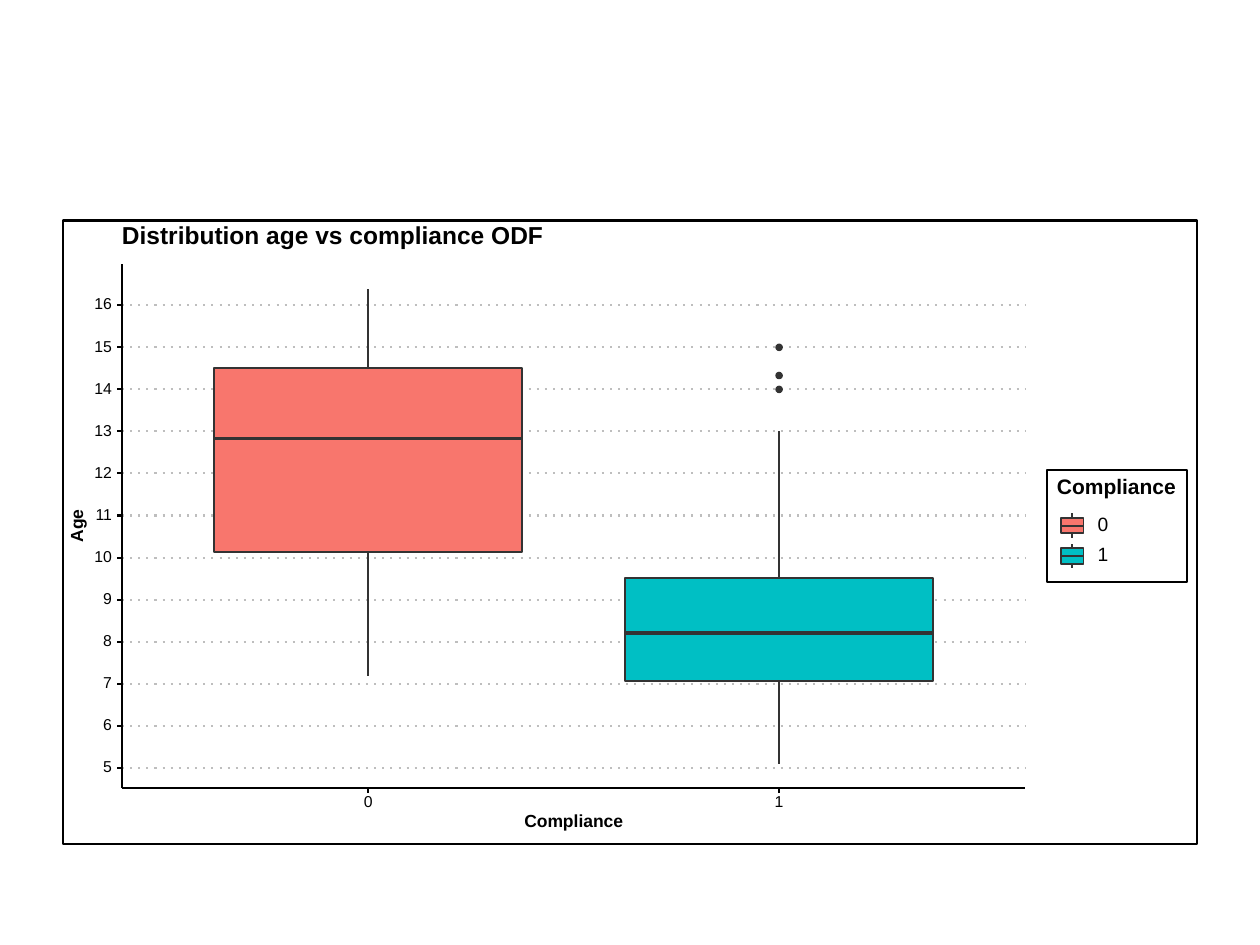
"""Build the slide with a box plot of age by compliance."""
from collections import namedtuple
from dataclasses import dataclass

from lxml import etree
from pptx import Presentation, util as u
from pptx.dml import color
from pptx.enum import dml, shapes, text
from pptx.oxml import ns


@dataclass(frozen=True)
class Theme:
    """Keep the font, colours, type sizes and line widths."""
    font: str = "Arial"
    ink: str = "000000"
    paper: str = "FFFFFF"
    grid: str = "BEBEBE"
    stroke: str = "333333"
    fills: tuple = ("F8766D", "00BFC4")
    tick: int = 9
    axis: int = 10
    key: int = 11
    legend: int = 12
    title: int = 14
    frame: float = 1.16
    thin: float = 1.07
    median: float = 2.13
    dot: float = 0.71


THEME = Theme()
Group = namedtuple("Group", "name low q1 median q3 high outliers")
GROUPS = (
    Group("0", 7.17, 10.13, 12.83, 14.5, 16.4, ()),
    Group("1", 5.08, 7.06, 8.21, 9.52, 13, (14, 14.33, 15)),
)
AGES = range(5, 17)
LEFT, RIGHT, TOP, BOTTOM = 69.7, 586, 151, 450.4
MIDDLE = (LEFT + RIGHT) / 2
UNIT = (RIGHT - LEFT) / 2.2
TICK = 2.8


def age_y(age):
    """Return the height on the page for an age."""
    return 438.7 - 24.02 * (age - 5)


def group_x(index):
    """Return the centre of a group on the page."""
    return LEFT + UNIT * (0.6 + index)


def apply_format(target, values):
    """Set each named attribute on the target."""
    for name, value in values.items():
        setattr(target, name, value)


def paint_line(line, colour, width):
    """Colour a line and set its width."""
    line.color.rgb = color.RGBColor.from_string(colour)
    line.width = u.Pt(width)


def add_line(page, x1, y1, x2, y2, colour, width, dotted=False):
    """Draw a straight line between two points."""
    line = page.shapes.add_connector(
        shapes.MSO_CONNECTOR.STRAIGHT, *map(u.Pt, (x1, y1, x2, y2)))
    paint_line(line.line, colour, width)
    if dotted:
        line.line.dash_style = dml.MSO_LINE.ROUND_DOT
        line._element.spPr.find(".//" + ns.qn("a:prstDash")).set("val", "dot")
    etree.SubElement(line._element.spPr, ns.qn("a:effectLst"))


def add_figure(page, kind, x, y, width, height, fill, colour, weight):
    """Draw a filled and outlined preset shape."""
    figure = page.shapes.add_shape(kind, *map(u.Pt, (x, y, width, height)))
    figure.shadow.inherit = False
    figure.fill.solid()
    figure.fill.fore_color.rgb = color.RGBColor.from_string(fill)
    paint_line(figure.line, colour, weight)


def add_label(page, words, x, y, width, size, bold=False, align="LEFT", turn=0):
    """Write one line of text centred on the height y."""
    height = size * 0.8
    box = page.shapes.add_textbox(
        *map(u.Pt, (x, y - height / 2, width, height)))
    box.rotation = turn
    apply_format(box.text_frame, {
        "margin_left": 0, "margin_right": 0, "margin_top": 0,
        "margin_bottom": 0, "word_wrap": False,
        "vertical_anchor": text.MSO_ANCHOR.MIDDLE})
    para = box.text_frame.paragraphs[0]
    apply_format(para, {"line_spacing": u.Pt(size),
                        "alignment": getattr(text.PP_ALIGN, align)})
    span = para.add_run()
    span.text = words
    apply_format(span.font, {"name": THEME.font, "size": u.Pt(size), "bold": bold})
    span.font.color.rgb = color.RGBColor.from_string(THEME.ink)


def add_box(page, x, half, heights, fill, median_width):
    """Draw whiskers, a box and its median line."""
    low, q1, median, q3, high = heights
    for start, end in ((q3, high), (q1, low)):
        add_line(page, x, start, x, end, THEME.stroke, THEME.thin)
    add_figure(page, shapes.MSO_SHAPE.RECTANGLE, x - half, q3, 2 * half,
               q1 - q3, fill, THEME.stroke, THEME.thin)
    add_line(page, x - half, median, x + half, median, THEME.stroke, median_width)


def add_frame(page, x, y, width, height):
    """Draw a white panel with a black border."""
    add_figure(page, shapes.MSO_SHAPE.RECTANGLE, x, y, width, height,
               THEME.paper, THEME.ink, THEME.frame)


def add_groups(page):
    """Draw the box plot and outliers of each group."""
    for index, (group, fill) in enumerate(zip(GROUPS, THEME.fills)):
        x = group_x(index)
        for age in group.outliers:
            add_figure(page, shapes.MSO_SHAPE.OVAL, x - 1.8, age_y(age) - 1.8,
                       3.6, 3.6, THEME.stroke, THEME.stroke, THEME.dot)
        heights = [age_y(age) for age in group[1:6]]
        add_box(page, x, 0.375 * UNIT, heights, fill, THEME.median)


def add_axes(page):
    """Draw both axes with ticks, labels and titles."""
    add_line(page, LEFT, BOTTOM, LEFT, TOP, THEME.ink, THEME.thin)
    add_line(page, LEFT, BOTTOM, RIGHT, BOTTOM, THEME.ink, THEME.thin)
    for age in AGES:
        y = age_y(age)
        add_line(page, LEFT - TICK, y, LEFT, y, THEME.ink, THEME.frame)
        add_label(page, str(age), 52, y, 12, THEME.tick, align="RIGHT")
    for index, group in enumerate(GROUPS):
        x = group_x(index)
        add_line(page, x, BOTTOM + TICK, x, BOTTOM, THEME.ink, THEME.frame)
        add_label(page, group.name, x - 4, 459, 8, THEME.tick, align="CENTER")
    add_label(page, "Compliance", MIDDLE - 32, 470, 64, THEME.axis, True, "CENTER")
    add_label(page, "Age", 32.5, 300.5, 24, THEME.axis, True, "CENTER", 270)


def add_legend(page):
    """Draw the legend with one key for each group."""
    add_frame(page, 598.3, 268.6, 79.9, 63.9)
    add_label(page, "Compliance", 604, 279, 72, THEME.legend, True)
    for index, (group, fill) in enumerate(zip(GROUPS, THEME.fills)):
        y = 300.4 + 17.3 * index
        heights = [y + offset for offset in (7, 4.4, 0, -4.4, -7)]
        add_box(page, 612.7, 6.5, heights, fill, THEME.thin)
        add_label(page, group.name, 627.2, y, 8, THEME.key)


def main():
    """Build and save the slide."""
    deck = Presentation()
    apply_format(deck, {"slide_width": u.Pt(720), "slide_height": u.Pt(540)})
    page = deck.slides.add_slide(deck.slide_layouts[6])
    add_frame(page, 36, 126, 648, 356.4)
    for age in AGES:
        add_line(page, LEFT, age_y(age), RIGHT, age_y(age),
                 THEME.grid, THEME.frame, True)
    add_groups(page)
    add_axes(page)
    add_legend(page)
    add_label(page, "Distribution age vs compliance ODF", LEFT, 135.4, 260,
              THEME.title, True)
    deck.save("out.pptx")


if __name__ == "__main__":
    main()
